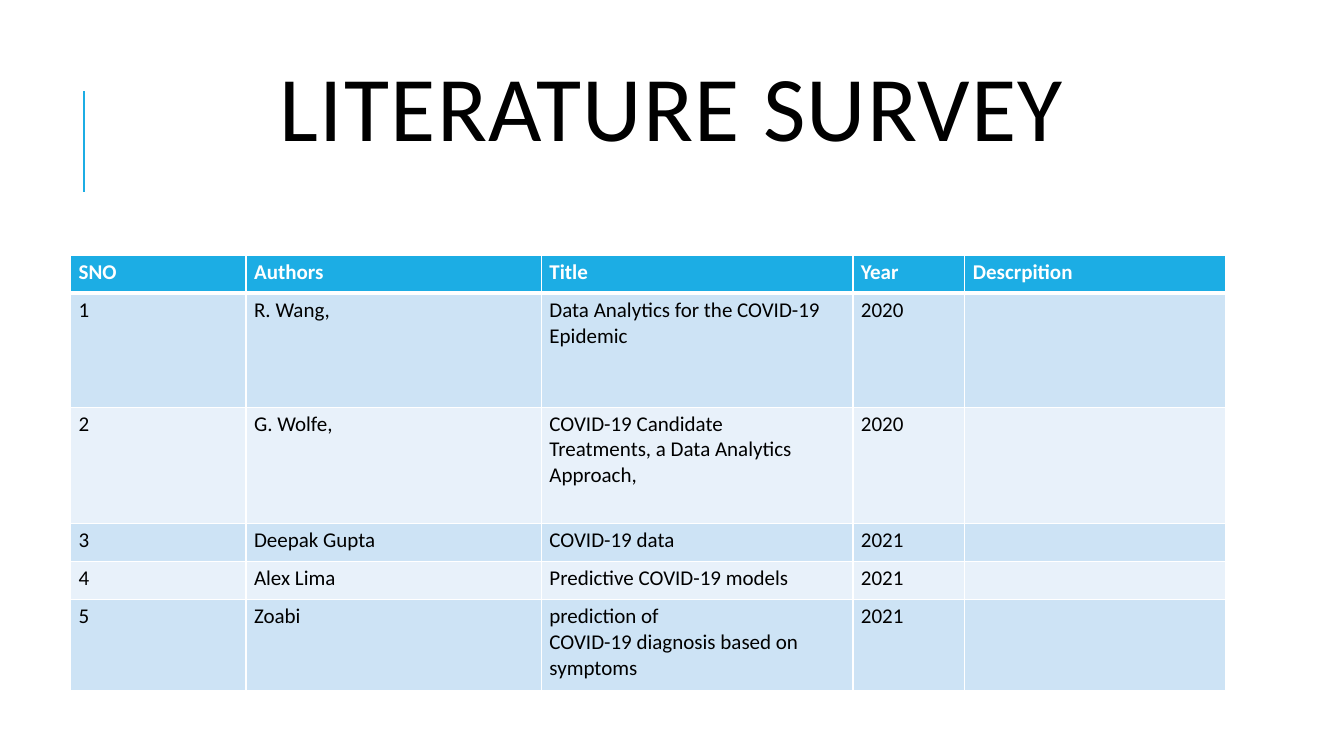
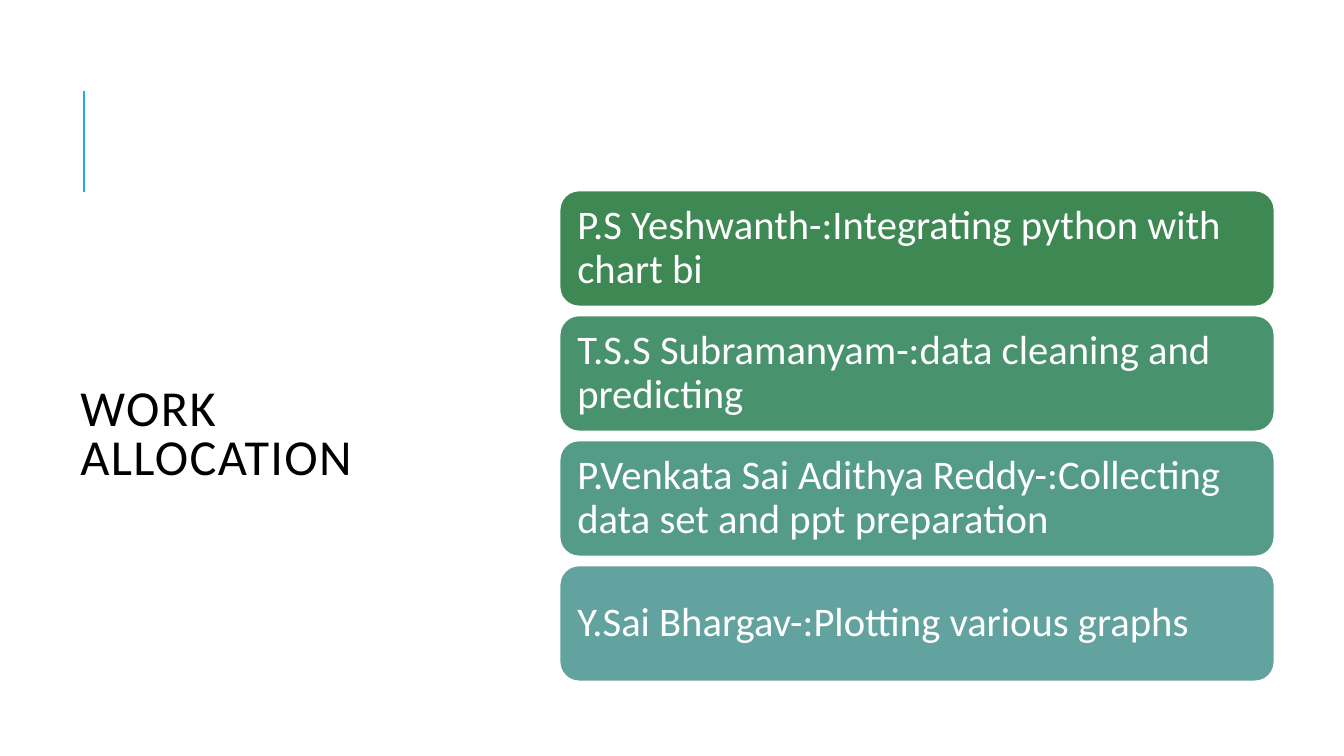
from lxml import etree
from pptx import Presentation
from pptx.dml.color import RGBColor
from pptx.enum.shapes import MSO_CONNECTOR, MSO_SHAPE
from pptx.enum.text import MSO_ANCHOR, PP_ALIGN
from pptx.oxml.ns import qn
from pptx.util import Inches, Pt

LEFT, CENTER = PP_ALIGN.LEFT, PP_ALIGN.CENTER
MIDDLE = MSO_ANCHOR.MIDDLE
ROUND = MSO_SHAPE.ROUNDED_RECTANGLE
STRAIGHT = MSO_CONNECTOR.STRAIGHT

# Shared style
FONT = "Calibri"
COLORS = {
    "accent": "1CADE4", "text": "000000", "white": "FFFFFF",
    "odd": "CDE3F5", "even": "E8F1FA",
}

# Content
HEAD = ("SNO", "Authors", "Title", "Year", "Descrpition")
PAPERS = [
    ("1", "R. Wang,", "Data Analytics for the COVID-19\nEpidemic", "2020", ""),
    ("2", "G. Wolfe,",
     "COVID-19 Candidate\nTreatments, a Data Analytics Approach,", "2020", ""),
    ("3", "Deepak Gupta", "COVID-19 data", "2021", ""),
    ("4", "Alex Lima", "Predictive COVID-19 models", "2021", ""),
    ("5", "Zoabi",
     "prediction of\nCOVID-19 diagnosis based on symptoms", "2021", ""),
]
COLS = (1.74, 2.93, 3.09, 1.11, 2.59)
ROWS = (0.38, 1.13, 1.15, 0.38, 0.38, 0.9)
TASKS = [
    ("P.S Yeshwanth-:Integrating python with chart bi", "3E8853"),
    ("T.S.S Subramanyam-:data cleaning and predicting", "49926E"),
    ("P.Venkata Sai Adithya Reddy-:Collecting data set and ppt preparation",
     "549C88"),
    ("Y.Sai Bhargav-:Plotting various graphs", "62A39F"),
]


def rgb(name):
    return RGBColor.from_string(COLORS.get(name, name))


def box(*sides):
    return [Inches(side) for side in sides]


def write(para, text, size, color, bold=False):
    run = para.add_run()
    run.text = text
    font = run.font
    font.name, font.size, font.bold = FONT, Pt(size), bold
    font.color.rgb = rgb(color)
    return run


def add_page(deck, title, place, size, align):
    """Add a slide with the accent line and a spaced title."""
    page = deck.slides.add_slide(deck.slide_layouts[6])
    line = page.shapes.add_connector(STRAIGHT, *box(0.83, 1.9, 0.83, 0.9))
    line.line.color.rgb = rgb("accent")
    line.line.width = Pt(1.5)
    etree.SubElement(line._element.spPr, qn("a:effectLst"))

    frame = page.shapes.add_textbox(*box(*place)).text_frame
    frame.word_wrap = True
    frame.vertical_anchor = MIDDLE
    para = frame.paragraphs[0]
    para.alignment, para.line_spacing = align, 0.8
    run = write(para, title, size, "text")
    run.font._element.set("spc", "100")
    return page


def add_edges(cell, widths):
    """Draw white cell borders; widths maps a side to points."""
    props = cell._tc.get_or_add_tcPr()
    for side in "LRTB":
        edge = etree.SubElement(props, qn("a:ln" + side),
                                w=str(Pt(widths.get(side, 1))))
        fill = etree.SubElement(edge, qn("a:solidFill"))
        etree.SubElement(fill, qn("a:srgbClr"), val=COLORS["white"])


def fill_cell(cell, text, row):
    head = row == 0
    add_edges(cell, {0: {"B": 3}, 1: {"T": 3}}.get(row, {}))
    cell.fill.solid()
    shade = "accent" if head else "odd" if row % 2 else "even"
    cell.fill.fore_color.rgb = rgb(shade)
    cell.margin_left = cell.margin_right = Inches(0.08)
    cell.margin_top = cell.margin_bottom = Inches(0.04)
    frame = cell.text_frame
    for i, part in enumerate(text.split("\n")):
        para = frame.add_paragraph() if i else frame.paragraphs[0]
        if part:
            write(para, part, 15, "white" if head else "text", head)
        else:
            etree.SubElement(para._p, qn("a:endParaRPr"), sz="1500")


def add_survey(page):
    grid = page.shapes.add_table(
        len(ROWS), len(COLS), *box(0.7, 2.53, sum(COLS), sum(ROWS))).table
    for col, width in zip(grid.columns, COLS):
        col.width = Inches(width)
    for row, height in zip(grid.rows, ROWS):
        row.height = Inches(height)
    for r, texts in enumerate([HEAD] + PAPERS):
        for c, text in enumerate(texts):
            fill_cell(grid.cell(r, c), text, r)


def add_tasks(page):
    top, height, gap = 1.89, 1.15, 0.09
    for i, (text, color) in enumerate(TASKS):
        card = page.shapes.add_shape(
            ROUND, *box(5.55, top + i * (height + gap), 7.09, height))
        card.shadow.inherit = False
        card.fill.solid()
        card.fill.fore_color.rgb = rgb(color)
        card.line.color.rgb = rgb("white")
        card.line.width = Pt(1.25)
        frame = card.text_frame
        frame.word_wrap = True
        frame.vertical_anchor = MIDDLE
        # The rounded corner already insets the text by 0.06 inch
        frame.margin_left = frame.margin_right = Inches(0.12)
        frame.margin_top = frame.margin_bottom = Inches(0.1)
        para = frame.paragraphs[0]
        para.alignment, para.line_spacing = LEFT, 0.9
        write(para, text, 29, "white")


def main():
    deck = Presentation()
    deck.slide_width, deck.slide_height = box(13.33, 7.5)
    add_survey(add_page(deck, "LITERATURE SURVEY",
                        (0.7, 0.46, 11.93, 1.37), 66, CENTER))
    add_tasks(add_page(deck, "WORK ALLOCATION",
                       (0.7, 1.86, 4.33, 4.94), 36, LEFT))
    deck.save("out.pptx")


if __name__ == "__main__":
    main()
